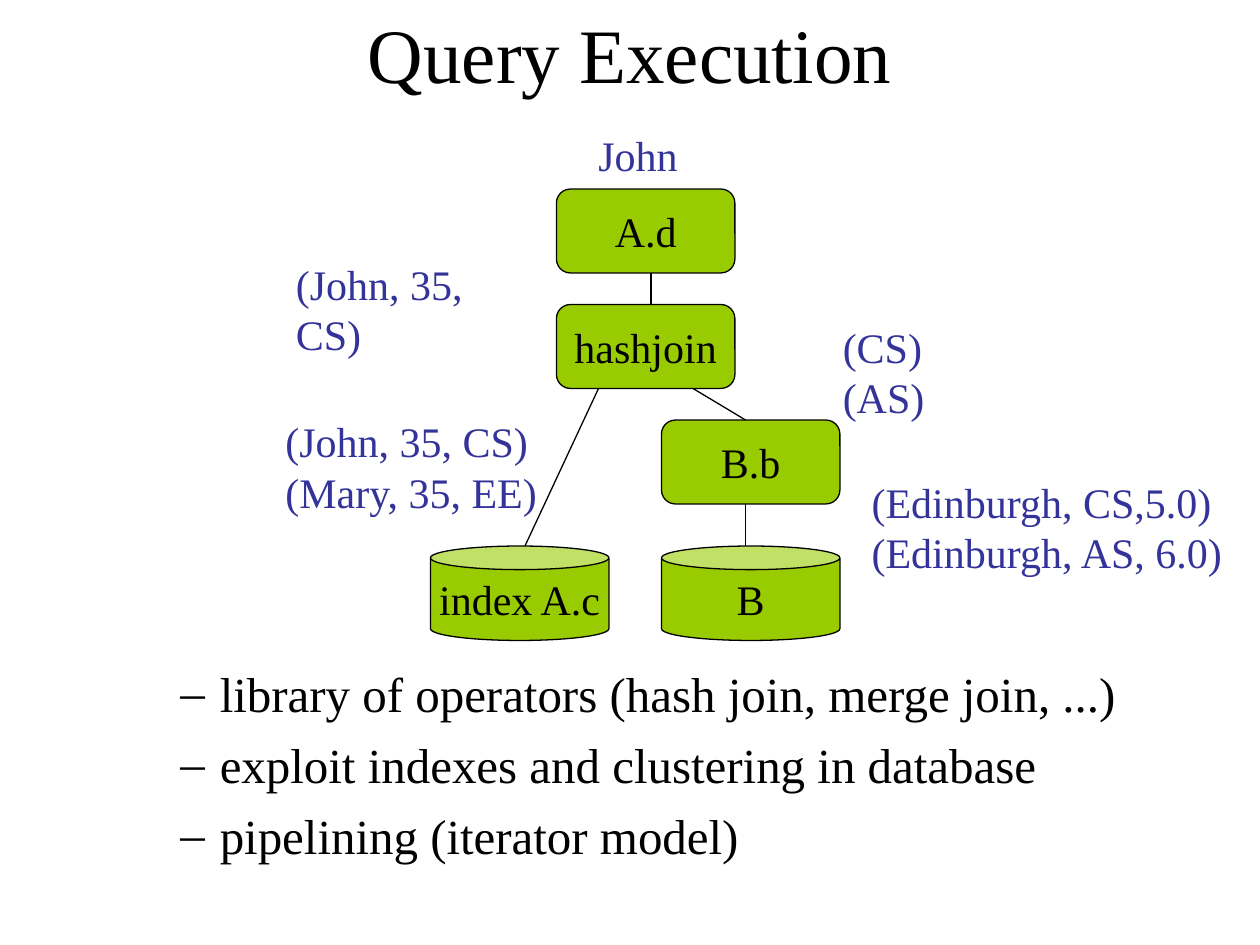
from dataclasses import dataclass

from lxml import etree
from pptx import Presentation
from pptx.dml.color import RGBColor
from pptx.enum.shapes import MSO_CONNECTOR, MSO_SHAPE
from pptx.enum.text import MSO_ANCHOR, PP_ALIGN
from pptx.oxml.ns import qn
from pptx.util import Pt

LEFT, CENTER = PP_ALIGN.LEFT, PP_ALIGN.CENTER
TOP, MIDDLE = MSO_ANCHOR.TOP, MSO_ANCHOR.MIDDLE
OPERATOR, STORE = MSO_SHAPE.ROUNDED_RECTANGLE, MSO_SHAPE.CAN
STRAIGHT = MSO_CONNECTOR.STRAIGHT


@dataclass(frozen=True)
class Theme:
    font: str = "Times New Roman"
    ink: RGBColor = RGBColor(0x00, 0x00, 0x00)
    tuple_ink: RGBColor = RGBColor(0x33, 0x33, 0x99)
    node_fill: RGBColor = RGBColor(0x99, 0xCC, 0x00)
    title: int = 44
    bullet: int = 28
    diagram: int = 24
    line: float = 0.74
    leading: float = 1.2


THEME = Theme()


def write(frame, lines, size, color, align=LEFT, anchor=TOP, wrap=False):
    """Fill a text frame, one paragraph per line, and return the paragraphs."""
    frame.word_wrap = wrap
    frame.vertical_anchor = anchor
    frame.text = "\n".join(lines)
    for paragraph in frame.paragraphs:
        paragraph.alignment = align
        paragraph.line_spacing = Pt(round(size * THEME.leading, 1))
        paragraph.font.name = THEME.font
        paragraph.font.size = Pt(size)
        paragraph.font.color.rgb = color
    return frame.paragraphs


def add_text(slide, box, lines, size, color, **layout):
    textbox = slide.shapes.add_textbox(*map(Pt, box))
    return write(textbox.text_frame, lines, size, color, **layout)


def add_title(slide, box, title):
    add_text(slide, box, [title], THEME.title, THEME.ink,
             align=CENTER, anchor=MIDDLE, wrap=True)


def add_node(slide, kind, box, name):
    node = slide.shapes.add_shape(kind, *map(Pt, box))
    node.shadow.inherit = False
    node.fill.solid()
    node.fill.fore_color.rgb = THEME.node_fill
    node.line.color.rgb = THEME.ink
    node.line.width = Pt(THEME.line)
    write(node.text_frame, [name], THEME.diagram, THEME.ink,
          align=CENTER, anchor=MIDDLE)


def add_edge(slide, start, end):
    edge = slide.shapes.add_connector(STRAIGHT, *map(Pt, start + end))
    edge.line.color.rgb = THEME.ink
    edge.line.width = Pt(THEME.line)
    etree.SubElement(edge.element.spPr, qn("a:effectLst"))


def add_plan(slide, box):
    """Operator tree, with the tuples that flow out of each node."""
    left, top, _, _ = box
    node_width, operator_height, store_height = 102, 48, 54

    # Operators and stores
    nodes = [
        (OPERATOR, 156, 72, "A.d"),
        (OPERATOR, 156, 138, "hashjoin"),
        (OPERATOR, 216, 204, "B.b"),
        (STORE, 84, 276, "index A.c"),
        (STORE, 216, 276, "B"),
    ]
    for kind, x, y, name in nodes:
        height = store_height if kind == STORE else operator_height
        add_node(slide, kind, (left + x, top + y, node_width, height), name)

    # Data flow
    edges = [
        (210, 120, 210, 138),
        (234, 186, 264, 204),
        (264, 252, 264, 276),
        (180, 186, 138, 276),
    ]
    for x1, y1, x2, y2 in edges:
        add_edge(slide, (left + x1, top + y1), (left + x2, top + y2))

    # Intermediate tuples
    tuples = [
        (172.8, 34.7, 59.8, ["John"]),
        (0, 108, 152.6, ["(John, 35, CS)"]),
        (-6, 198, 159.8, ["(John, 35, CS)", "(Mary, 35, EE)"]),
        (312.5, 144, 61.2, ["(CS)", "(AS)"]),
        (329, 232.6, 216, ["(Edinburgh, CS,5.0)", "(Edinburgh, AS, 6.0)"]),
    ]
    for x, y, width, rows in tuples:
        height = 7.2 + len(rows) * THEME.diagram * THEME.leading
        add_text(slide, (left + x, top + y, width, height), rows,
                 THEME.diagram, THEME.tuple_ink)


def add_bullets(slide, box, points):
    paragraphs = add_text(slide, box, points, THEME.bullet, THEME.ink, wrap=True)
    for paragraph in paragraphs:
        paragraph.space_after = Pt(7)
        properties = paragraph._p.get_or_add_pPr()
        properties.set("marL", str(Pt(58.5)))
        properties.set("indent", str(Pt(-22.5)))
        etree.SubElement(properties, qn("a:buFont"), typeface=THEME.font)
        etree.SubElement(properties, qn("a:buChar"), char="–")
        # The schema puts default run properties after the bullet
        defaults = properties.find(qn("a:defRPr"))
        if defaults is not None:
            properties.append(defaults)


presentation = Presentation()
presentation.slide_width, presentation.slide_height = Pt(720), Pt(540)
slide = presentation.slides.add_slide(presentation.slide_layouts[6])

add_title(slide, (54, 0, 612, 60), "Query Execution")
add_plan(slide, (162, 36, 546, 330))
add_bullets(slide, (60, 375.5, 612, 164.5), [
    "library of operators (hash join, merge join, ...)",
    "exploit indexes and clustering in database",
    "pipelining (iterator model)",
])

presentation.save("out.pptx")
